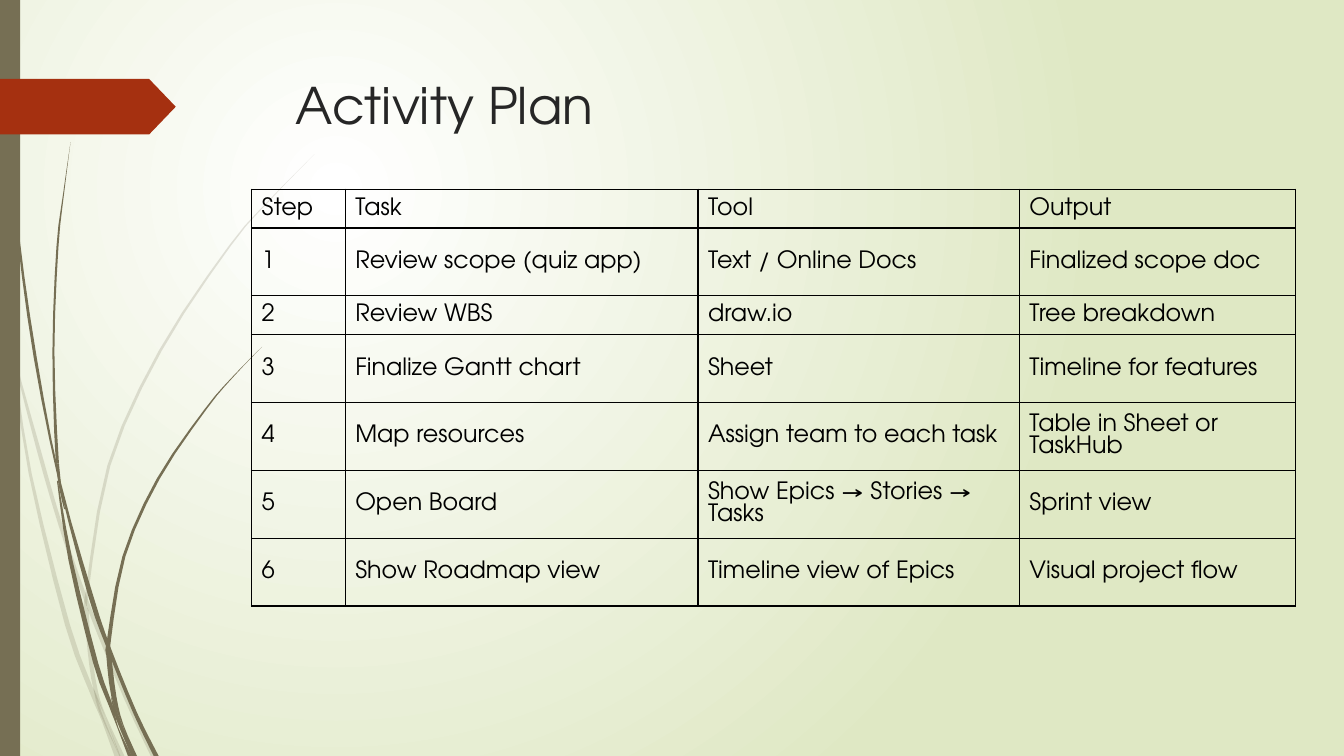
from lxml import etree
from pptx import Presentation
from pptx.dml.color import RGBColor
from pptx.enum.shapes import MSO_SHAPE
from pptx.enum.text import MSO_ANCHOR
from pptx.oxml import parse_xml
from pptx.util import Cm, Pt

RECT, TAG = MSO_SHAPE.RECTANGLE, MSO_SHAPE.PENTAGON
MIDDLE, TOP = MSO_ANCHOR.MIDDLE, MSO_ANCHOR.TOP
NS = "http://schemas.openxmlformats.org/drawingml/2006/main"
FONT = "TeX Gyre Adventor"
OLIVE, RUST, INK, BLACK = "766F54", "A53010", "262626", "000000"
WHITE, LEAF = "FFFFFF", "DFE8C4"

TITLE = "Activity Plan"
ROWS = [
    ("Step", "Task", "Tool", "Output"),
    ("1", "Review scope (quiz app)", "Text / Online Docs", "Finalized scope doc"),
    ("2", "Review WBS", "draw.io", "Tree breakdown"),
    ("3", "Finalize Gantt chart", "Sheet", "Timeline for features"),
    ("4", "Map resources", "Assign team to each task", "Table in Sheet or TaskHub"),
    ("5", "Open Board", "Show Epics → Stories → Tasks", "Sprint view"),
    ("6", "Show Roadmap view", "Timeline view of Epics", "Visual project flow"),
]
WIDE = (2.36, 8.89, 8.1, 6.96)
LOW, HIGH = 0.97, 1.71
SHORT = (0, 2)

# Each blade has a spine of (x, y, width) in inches and the joints that split it.
PALE = [
    ([(0, 2.9, .16), (.12, 3.47, .03), (.38, 4.45, .04), (.6, 5.21, .04),
      (.86, 5.97, .04), (1.25, 6.93, .04), (1.52, 7.5, .05)], (1, 4)),
    ([(.12, 3.5, .02), (.3, 4.7, .03), (.67, 6.2, .05), (.92, 6.88, .05),
      (1.02, 7.14, .03), (1.16, 7.5, .05)], (4,)),
    ([(3.12, 1.53, 0), (2.68, 1.98, .01), (2.28, 2.44, .02), (1.59, 3.48, .03),
      (1.08, 4.62, .03), (.86, 5.9, .03), (.86, 6.06, .04), (.89, 6.46, .04),
      (.95, 6.85, .04), (1.05, 7.11, .01), (1.21, 7.5, .05)], (5, 6, 9)),
    ([(.93, 6.83, 0), (1, 7.05, .04), (1.19, 7.5, .01)], ()),
]
DARK = [
    ([(.04, 0, .01), (.05, .48, .01), (.08, 1.1, .01), (.18, 2.33, .02), (.35, 3.55, .03),
      (.59, 4.77, .02), (.9, 5.91, .05), (1.08, 6.43, .04), (1.34, 7.07, .04),
      (1.55, 7.5, .05)], (5, 7)),
    ([(.57, 4.77, .01), (.7, 5.56, .04), (.95, 6.58, .05), (1.1, 7, .04),
      (1.17, 7.22, .01), (1.29, 7.5, .04)], (4,)),
    ([(.7, 1.41, 0), (.63, 1.93, .01), (.57, 2.45, .02), (.53, 3.49, .02),
      (.57, 4.6, .03), (.64, 5.05, .01)], (4,)),
    ([(2.6, 3.44, 0), (2.31, 3.74, .01), (2.04, 4.06, .02), (1.57, 4.75, .03),
      (1.23, 5.52, .03), (1.08, 6.36, .04), (1.08, 6.5, .05), (1.13, 6.91, .05),
      (1.22, 7.19, .01), (1.34, 7.5, .04)], (5, 6, 8)),
    ([(1.1, 6.91, 0), (1.17, 7.13, .04), (1.32, 7.5, .03)], ()),
]
STEPS = 3


def color(code):
    """Turn a hex string into a colour."""
    return RGBColor.from_string(code)


def paint(shape, code):
    """Fill a shape flat, with no line or shadow."""
    shape.fill.solid()
    shape.fill.fore_color.rgb = color(code)
    shape.line.fill.background()
    shape.shadow.inherit = False


def smooth(spine):
    """Run a Catmull-Rom curve through the points of a spine."""
    pts = [spine[0], *spine, spine[-1]]
    out = []
    for a, b, c, d in zip(pts, pts[1:], pts[2:], pts[3:]):
        for i in range(STEPS):
            t = i / STEPS
            out.append([(2 * q + (r - p) * t + (2 * p - 5 * q + 4 * r - s) * t * t
                         + (3 * q - p - 3 * r + s) * t ** 3) / 2
                        for p, q, r, s in zip(a, b, c, d)])
    return out + [spine[-1]]


def blade(slide, spine, joints, alpha=None):
    """Draw one tapered blade of grass, split at its joints."""
    curve = smooth(spine)
    ends = [0, *joints, len(spine) - 1]
    for first, last in zip(ends, ends[1:]):
        pts = curve[first * STEPS:last * STEPS + 1]
        side = [(x - w / 2, y) for x, y, w in pts] + [(x + w / 2, y) for x, y, w in pts[::-1]]
        path = [(Cm(max(x, 0) * 2.54), Cm(y * 2.54)) for x, y in side]
        form = slide.shapes.build_freeform(*path[0])
        form.add_line_segments(path[1:])
        shape = form.convert_to_shape()
        paint(shape, OLIVE)
        if alpha:
            tint = shape.fill._xPr.find(f".//{{{NS}}}srgbClr")
            etree.SubElement(tint, f"{{{NS}}}alpha", val=str(alpha * 1000))


def write(frame, text, size, code):
    """Put styled text in a frame."""
    frame.text = text
    font = frame.paragraphs[0].runs[0].font
    font.name, font.size, font.bold = FONT, Pt(size), False
    font.color.rgb = color(code)


def backdrop(slide):
    """Give the slide a radial gradient."""
    stops = "".join(f'<a:gs pos="{pos}"><a:srgbClr val="{code}"/></a:gs>'
                    for pos, code in ((0, WHITE), (100000, LEAF)))
    slide.background.fill.solid()
    props = slide._element.cSld.bg.bgPr
    props.replace(props[0], parse_xml(
        f'<a:gradFill xmlns:a="{NS}" rotWithShape="1"><a:gsLst>{stops}</a:gsLst>'
        '<a:path path="circle"><a:fillToRect l="50000" t="50000" r="100000" b="100000"/>'
        '</a:path></a:gradFill>'))


def border(cell):
    """Draw thin black lines round a cell and clear its fill."""
    props = cell._tc.get_or_add_tcPr()
    for side in "LRTB":
        props.append(parse_xml(
            f'<a:ln{side} xmlns:a="{NS}" w="{Pt(1)}"><a:solidFill>'
            f'<a:srgbClr val="{BLACK}"/></a:solidFill></a:ln{side}>'))
    cell.fill.background()


def plan(slide):
    """Build the table of steps."""
    tall = [LOW if i in SHORT else HIGH for i in range(len(ROWS))]
    table = slide.shapes.add_table(len(ROWS), len(WIDE), Cm(6.34), Cm(4.77),
                                   Cm(sum(WIDE)), Cm(sum(tall))).table
    table.first_row = table.horz_banding = False
    for col, width in zip(table.columns, WIDE):
        col.width = Cm(width)
    for row, height, texts in zip(table.rows, tall, ROWS):
        row.height = Cm(height)
        for cell, text in zip(row.cells, texts):
            cell.vertical_anchor = MIDDLE
            write(cell.text_frame, text, 17, BLACK)
            border(cell)


def main():
    """Build and save the slide."""
    deck = Presentation()
    deck.slide_width, deck.slide_height = Cm(33.87), Cm(19.05)
    slide = deck.slides.add_slide(deck.slide_layouts[6])
    backdrop(slide)
    for spine, joints in PALE:
        blade(slide, spine, joints, 20)
    for spine, joints in DARK:
        blade(slide, spine, joints)
    paint(slide.shapes.add_shape(RECT, 0, 0, Cm(0.51), Cm(19.05)), OLIVE)
    tag = slide.shapes.add_shape(TAG, 0, Cm(1.99), Cm(4.43), Cm(1.4))
    tag.adjustments[0] = 0.48
    paint(tag, RUST)
    box = slide.shapes.add_textbox(Cm(7.21), Cm(1.75), Cm(24.77), Cm(3.56))
    box.text_frame.word_wrap = True
    box.text_frame.vertical_anchor = TOP
    write(box.text_frame, TITLE, 36, INK)
    plan(slide)
    deck.save("out.pptx")


if __name__ == "__main__":
    main()
